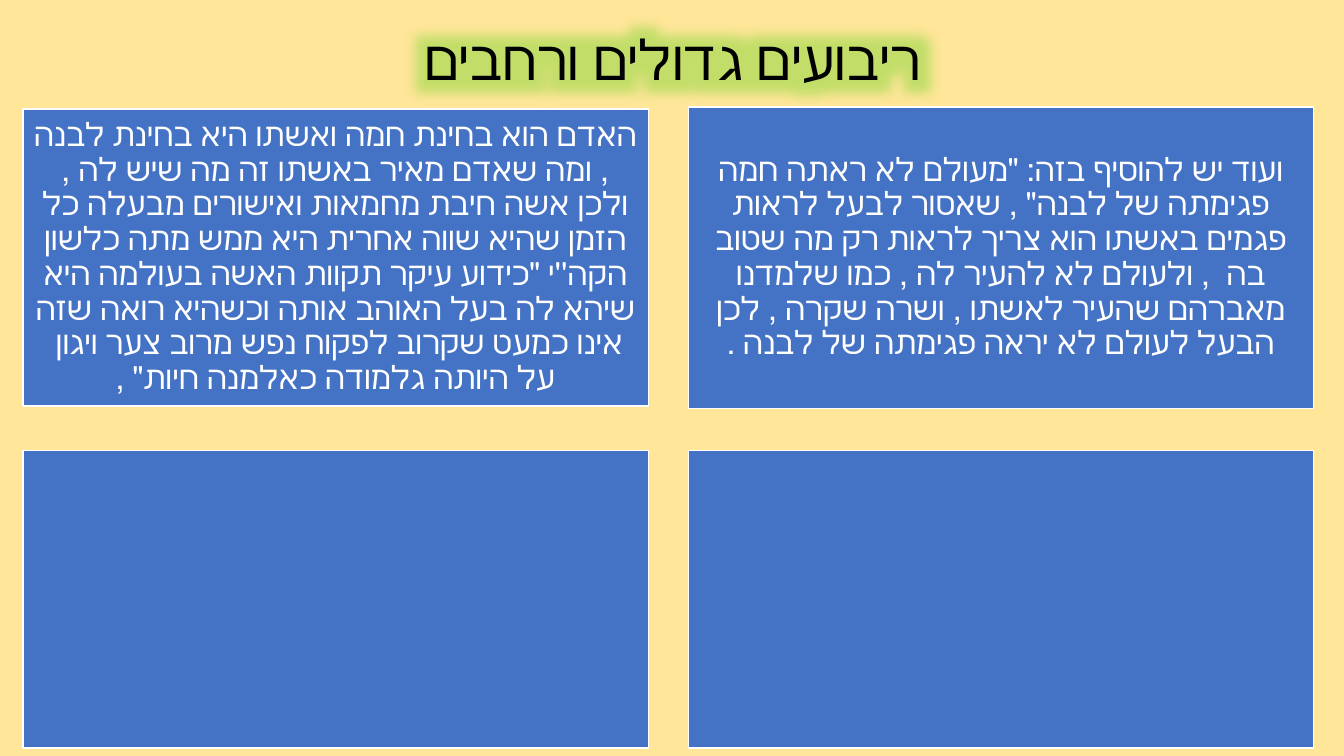
"""Builds a slide with a glowing title over four wide blue boxes."""
import pptx
import pptx.dml.color
import pptx.enum.shapes
import pptx.enum.text
import pptx.oxml
import pptx.oxml.ns
import pptx.util
from pptx.util import Inches

RGB = pptx.dml.color.RGBColor
SAND = RGB(0xFF, 0xE6, 0x99)
BLUE = RGB(0x44, 0x72, 0xC4)
WHITE = RGB(0xFF, 0xFF, 0xFF)
BLACK = RGB(0, 0, 0)
GREEN = RGB(0x68, 0xD3, 0x21)
FONT = "Calibri"

TITLE = "ריבועים גדולים ורחבים"
MOON = (
    "האדם הוא בחינת חמה ואשתו היא בחינת לבנה , ומה שאדם מאיר באשתו זה מה שיש לה , "
    "ולכן אשה חיבת מחמאות ואישורים מבעלה כל הזמן שהיא שווה אחרית היא ממש מתה כלשון "
    "הקה''י \"כידוע עיקר תקוות האשה בעולמה היא שיהא לה בעל האוהב אותה וכשהיא רואה שזה "
    "אינו כמעט שקרוב לפקוח נפש מרוב צער ויגון  על היותה גלמודה כאלמנה חיות\" ,"
)
SUN = (
    "ועוד יש להוסיף בזה: \"מעולם לא ראתה חמה פגימתה של לבנה\" , שאסור לבעל לראות "
    "פגמים באשתו הוא צריך לראות רק מה שטוב בה  , ולעולם לא להעיר לה , כמו שלמדנו "
    "מאברהם שהעיר לאשתו , ושרה שקרה , לכן הבעל לעולם לא יראה פגימתה של לבנה ."
)
LEFTS = (0.23, 6.83)
WIDTH = 6.2
ROWS = (
    ((MOON, 1.08, 2.95), (SUN, 1.06, 2.99)),
    (("", 4.47, 2.95), ("", 4.47, 2.95)),
)


def write(shape, text, size, color, inset=0.1, glow=None):
    """Put one centred right-to-left paragraph in a shape."""
    frame = shape.text_frame
    frame.word_wrap = True
    frame.vertical_anchor = pptx.enum.text.MSO_ANCHOR.MIDDLE
    frame.margin_left = frame.margin_right = Inches(inset)
    frame.margin_top = frame.margin_bottom = Inches(inset)
    para = frame.paragraphs[0]
    para.alignment = pptx.enum.text.PP_ALIGN.CENTER
    para.line_spacing = 0.9
    para._p.get_or_add_pPr().set("rtl", "1")
    run = para.add_run()
    run.text = text
    run.font.size = pptx.util.Pt(size)
    run.font.color.rgb = color
    run.font.name = FONT
    props = run._r.get_or_add_rPr()
    props.set("lang", "he-IL")
    if glow is not None:
        names = pptx.oxml.ns.nsdecls("a")
        latin = props.find(pptx.oxml.ns.qn("a:latin"))
        latin.addprevious(pptx.oxml.parse_xml(
            f'<a:effectLst {names}><a:glow rad="508000"><a:srgbClr val="{glow}">'
            '<a:alpha val="40000"/></a:srgbClr></a:glow></a:effectLst>'))


def main():
    """Draw the slide and save it."""
    deck = pptx.Presentation()
    deck.slide_width, deck.slide_height = Inches(13.33), Inches(7.5)
    slide = deck.slides.add_slide(deck.slide_layouts[6])
    back = slide.background.fill
    back.solid()
    back.fore_color.rgb = SAND

    title = slide.shapes.add_textbox(
        Inches(0.92), Inches(0.4), Inches(11.5), Inches(0.44))
    write(title, TITLE, 39.6, BLACK, inset=0.05, glow=GREEN)

    for row in ROWS:
        for left, (text, top, height) in zip(LEFTS, row):
            box = slide.shapes.add_shape(
                pptx.enum.shapes.MSO_SHAPE.RECTANGLE,
                Inches(left), Inches(top), Inches(WIDTH), Inches(height))
            box.shadow.inherit = False
            box.fill.solid()
            box.fill.fore_color.rgb = BLUE
            box.line.color.rgb = WHITE
            box.line.width = pptx.util.Pt(1)
            if text:
                write(box, text, 23, WHITE)

    deck.save("out.pptx")


if __name__ == "__main__":
    main()
